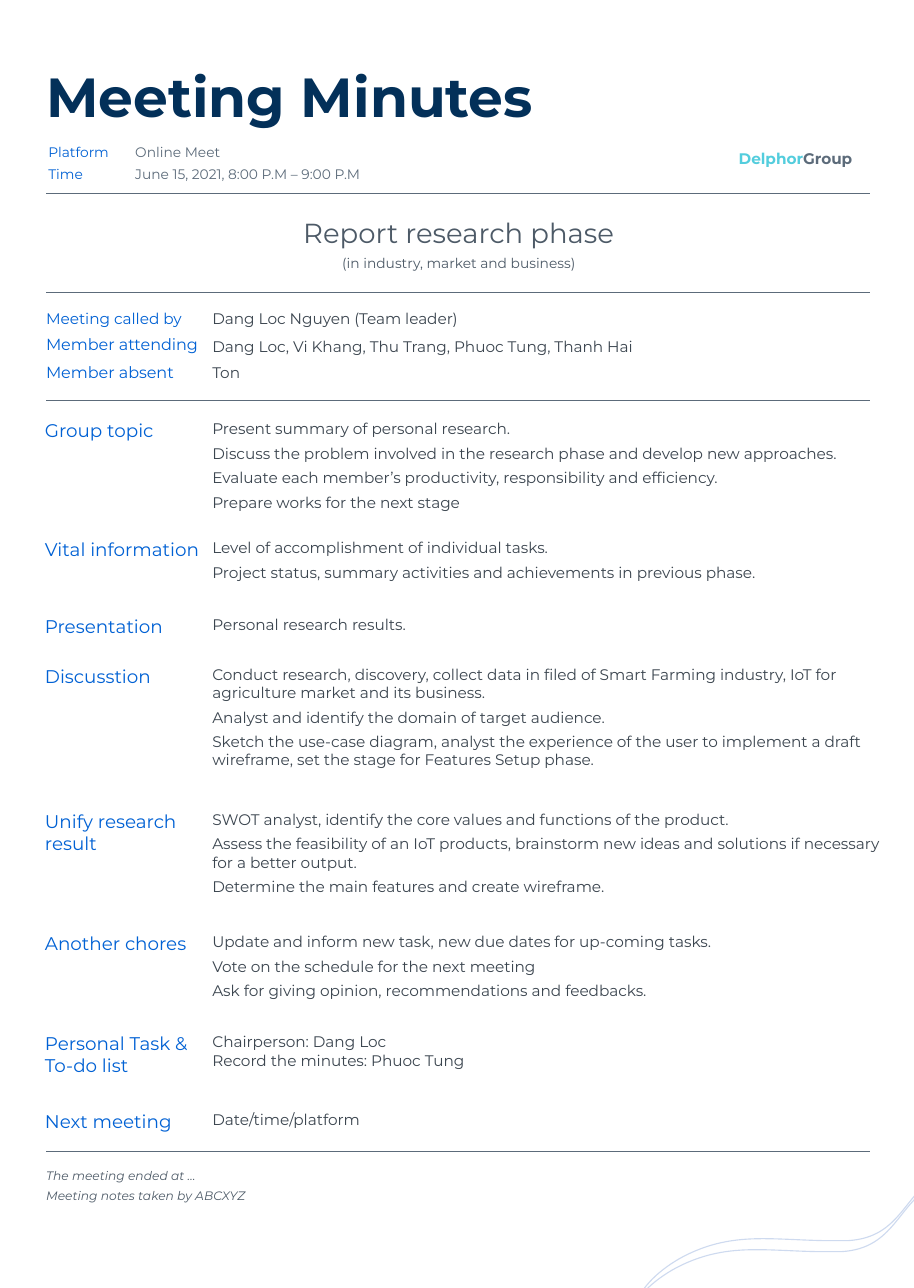
from copy import deepcopy
from dataclasses import dataclass

from lxml import etree
from pptx import Presentation
from pptx import util as u
from pptx.dml.color import RGBColor
from pptx.enum import shapes, text
from pptx.oxml import ns

NAVY = RGBColor(0x03, 0x30, 0x59)
BLUE = RGBColor(0x00, 0x61, 0xD4)
SLATE = RGBColor(0x5C, 0x6B, 0x7A)
STEEL = RGBColor(0x4D, 0x5A, 0x67)
INK = RGBColor(0x3B, 0x45, 0x4F)
AQUA = RGBColor(0x53, 0xCD, 0xDD)
WAVE = RGBColor(0x44, 0x72, 0xC4)
FONT = "Montserrat"


@dataclass
class Style:
    size: float
    color: RGBColor
    bold: bool = False
    slant: bool = False
    gap: float = 0
    align: text.PP_ALIGN | None = None


@dataclass
class Row:
    top: float
    label: str
    body: str
    tall: float = 0.27
    size: float = 12
    drop: float = 0


def paint(run, style: Style) -> None:
    font = run.font
    font.name, font.size = FONT, u.Pt(style.size)
    font.bold, font.italic = style.bold, style.slant
    font.color.rgb = style.color


def write(slide, words: str, left: float, top: float, width: float,
          height: float, style: Style):
    box = slide.shapes.add_textbox(*map(u.Inches, (left, top, width, height)))
    frame = box.text_frame
    frame.word_wrap = True
    frame.auto_size = text.MSO_AUTO_SIZE.SHAPE_TO_FIT_TEXT
    frame.text = words
    for para in frame.paragraphs:
        para.alignment = style.align
        para.space_after = u.Pt(style.gap)
        for run in para.runs:
            paint(run, style)
        # Line breaks take the size of the text around them
        for mark in para._p.findall(ns.qn("a:br")):
            mark.append(deepcopy(para.runs[0]._r.rPr))
    return frame


def rule(slide, top: float) -> None:
    line = slide.shapes.add_connector(
        shapes.MSO_CONNECTOR.STRAIGHT,
        u.Inches(0.42), u.Inches(top), u.Inches(7.9), u.Inches(top))
    line.line.color.rgb = SLATE
    line.line.width = u.Pt(0.5)
    etree.SubElement(line._element.spPr, ns.qn("a:effectLst"))


# Corner wave: start point, then cubic curves as control, control, end
START = (8.82, 10.58)
CURVES = [
    (8.74, 10.58), (8.66, 10.6), (8.56, 10.65),
    (8.21, 10.84), (8.19, 11.24), (7.71, 11.27),
    (7.66, 11.27), (7.62, 11.27), (7.57, 11.27),
    (7.34, 11.27), (7.13, 11.25), (6.92, 11.25),
    (6.68, 11.25), (6.44, 11.28), (6.17, 11.43),
    (5.72, 11.69), (5.63, 12.05), (5.72, 12.49),
    (5.87, 13.23), (6.5, 13.57), (7.23, 13.57),
    (7.54, 13.57), (7.87, 13.51), (8.18, 13.38),
    (9.17, 12.99), (9.63, 12.1), (9.4, 11.21),
    (9.33, 10.93), (9.14, 10.58), START,
]


def wave(slide, dx: float, dy: float) -> None:
    first, *rest = [(u.Inches(x + dx), u.Inches(y + dy))
                    for x, y in (START, *CURVES)]
    pen = slide.shapes.build_freeform(*first)
    pen.add_line_segments(rest, close=True)
    shape = pen.convert_to_shape()
    shape.rotation = 359.8
    shape.shadow.inherit = False
    shape.fill.background()
    shape.line.color.rgb = WAVE
    shape.line.width = u.Pt(0.75)
    tint = shape.line._ln.find(".//" + ns.qn("a:srgbClr"))
    etree.SubElement(tint, ns.qn("a:alpha"), val="26000")
    # Join each three points into one cubic curve
    lines = list(shape._element.iter(ns.qn("a:lnTo")))[:len(CURVES)]
    for i in range(0, len(lines), 3):
        curve = etree.Element(ns.qn("a:cubicBezTo"))
        lines[i].addprevious(curve)
        for line in lines[i:i + 3]:
            curve.append(line[0])
            line.getparent().remove(line)


FACTS = [
    Row(1.26, "Platform", "Online Meet"),
    Row(1.46, "Time", "June 15, 2021, 8:00 P.M – 9:00 P.M"),
]
PEOPLE = [
    Row(2.76, "Meeting called by", "Dang Loc Nguyen (Team leader)", size=10),
    Row(2.99, "Member attending",
        "Dang Loc, Vi Khang, Thu Trang, Phuoc Tung, Thanh Hai",
        size=10.5, drop=0.02),
    Row(3.24, "Member absent", "Ton", size=10.5, drop=0.01),
]
TOPICS = [
    Row(3.76, "Group topic",
        "Present summary of personal research.\n"
        "Discuss the problem involved in the research phase and develop new "
        "approaches.\n"
        "Evaluate each member’s productivity, responsibility and efficiency.\n"
        "Prepare works for the next stage", 1.11),
    Row(4.84, "Vital information",
        "Level of accomplishment of individual tasks.\n"
        "Project status, summary activities and achievements in previous "
        "phase.", 0.49),
    Row(5.54, "Presentation", "Personal research results."),
    Row(5.99, "Discusstion",
        "Conduct research, discovery, collect data in filed of Smart Farming "
        "industry, IoT for agriculture market and its business.\n"
        "Analyst and identify the domain of target audience.\n"
        "Sketch the use-case diagram, analyst the experience of the user to "
        "implement a draft wireframe, set the stage for Features Setup phase.",
        1.05),
    Row(7.31, "Unify research result",
        "SWOT analyst, identify the core values and functions of the "
        "product.\n"
        "Assess the feasibility of an IoT products, brainstorm new ideas and "
        "solutions if necessary for a better output.\n"
        "Determine the main features and create wireframe.", 0.89),
    Row(8.42, "Another chores",
        "Update and inform new task, new due dates for up-coming tasks.\n"
        "Vote on the schedule for the next meeting\n"
        "Ask for giving opinion, recommendations and feedbacks.", 0.72),
    Row(9.33, "Personal Task & To-do list",
        "Chairperson: Dang Loc\vRecord the minutes: Phuoc Tung", 0.44),
    Row(10.04, "Next meeting", "Date/time/platform"),
]


def main() -> None:
    deck = Presentation()
    deck.slide_width, deck.slide_height = u.Inches(8.3), u.Inches(11.7)
    slide = deck.slides.add_slide(deck.slide_layouts[6])

    # Corner waves and rules
    for dx, dy in ((0, 0), (-0.06, 0.1)):
        wave(slide, dx, dy)
    for top in (1.76, 2.66, 3.64, 10.46):
        rule(slide, top)

    # Heading and team name
    write(slide, "Meeting Minutes", 0.32, 0.52, 4.81, 0.71,
          Style(36, NAVY, bold=True))
    team = write(slide, "Delphor", 6.61, 1.31, 1.25, 0.27,
                 Style(10, AQUA, bold=True))
    tail = team.paragraphs[0].add_run()
    tail.text = "Group"
    paint(tail, Style(10, SLATE, bold=True))
    for fact in FACTS:
        write(slide, fact.label, 0.34, fact.top, 1.18, 0.25, Style(9, BLUE))
        write(slide, fact.body, 1.13, fact.top, 3.03, 0.25, Style(9, SLATE))

    # Report title
    title = write(slide, "Report research phase\n"
                  "(in industry, market and business)", 2.39, 1.91, 3.55, 0.61,
                  Style(18, STEEL, gap=4, align=text.PP_ALIGN.CENTER))
    note = title.paragraphs[1]
    note.space_after = u.Pt(0)
    note.runs[0].font.size = u.Pt(9)

    # People and topics
    for left, rows, gap in ((0.32, PEOPLE, 0), (0.31, TOPICS, 4)):
        for row in rows:
            write(slide, row.label, left, row.top, 1.76, 0.3,
                  Style(row.size, BLUE))
            write(slide, row.body, 1.83, row.top + row.drop, 6.29, row.tall,
                  Style(10, INK, gap=gap))

    # Closing notes
    write(slide, "The meeting ended at …\nMeeting notes taken by ABCXYZ",
          0.32, 10.56, 6.29, 0.43, Style(8, STEEL, slant=True, gap=4))
    deck.save("out.pptx")


if __name__ == "__main__":
    main()
